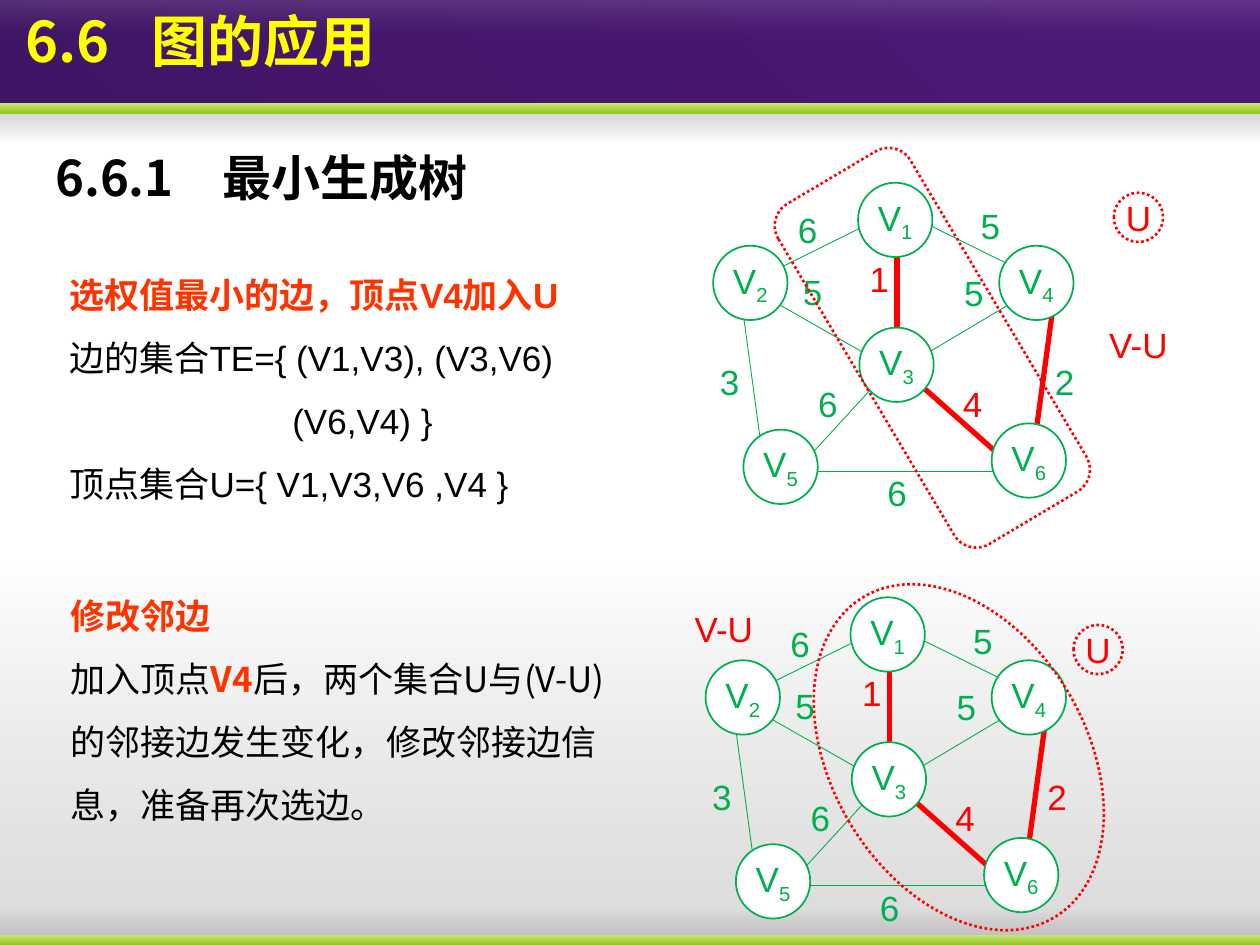
from lxml import etree
from pptx import Presentation
from pptx.dml.color import RGBColor
from pptx.enum.dml import MSO_LINE
from pptx.enum.shapes import MSO_CONNECTOR, MSO_SHAPE
from pptx.enum.text import MSO_ANCHOR, MSO_AUTO_SIZE, PP_ALIGN
from pptx.oxml.ns import qn
from pptx.util import Inches, Pt

CJK = "Noto Sans CJK SC"
GREEN, RED, ORANGE, BLACK = "00B050", "FF0000", "FF3300", "000000"
rgb = RGBColor.from_string


def add_run(p, text, color, size=20, bold=False, font="Arial", baseline=None):
    r = p.add_run()
    r.text = text
    r.font.size, r.font.bold, r.font.name = Pt(size), bold, font
    r.font.color.rgb = rgb(color)
    etree.SubElement(r.font._element, qn("a:ea"), typeface=CJK)
    if baseline:
        r.font._element.set("baseline", str(baseline))


def add_mark(at, color, text="", sub="", kind=None, fill=None, dotted=False):
    """Add a centred label, inside an outline when kind names a preset shape."""
    box = [Inches(v) for v in at]
    if kind is None:
        sp = s.shapes.add_textbox(*box)
    else:
        sp = s.shapes.add_shape(kind, *box)
        sp.shadow.inherit = False
        sp.line.color.rgb = rgb(color)
        sp.line.width = Pt(1.5 if dotted else 1)
        if dotted:
            sp.line.dash_style = MSO_LINE.ROUND_DOT
        if fill:
            sp.fill.solid()
            sp.fill.fore_color.rgb = rgb(fill)
        else:
            sp.fill.background()
    if text:
        tf = sp.text_frame
        tf.margin_left = tf.margin_right = tf.margin_top = tf.margin_bottom = 0
        tf.vertical_anchor = MSO_ANCHOR.MIDDLE
        tf.word_wrap = False
        p = tf.paragraphs[0]
        p.alignment = PP_ALIGN.CENTER
        add_run(p, text, color)
        if sub:
            add_run(p, sub, color, baseline=-25000)
    return sp


prs = Presentation()
prs.slide_width, prs.slide_height = Inches(10), Inches(7.5)
s = prs.slides.add_slide(prs.slide_layouts[3])
title, edge_text, update_text = s.placeholders

# Background bands: top, height, rotation, gradient angle, (colour, opacity %) stops
shade = ("5C5C5C", 0), ("808080", 33)
lime = ("C9E576", 100), ("97C523", 100)
bands = [
    (7.22, 0.24, 0, 90, shade),
    (4.46, 3.04, 0, 90, (("5C5C5C", 0), ("808080", 29))),
    (7.42, 0.08, 0, 90, lime),
    (0, 0.9, 0, 315, (("401565", 100), ("4D1979", 100))),
    (0.88, 0.24, 180, 90, shade),
    (0.82, 0.08, 0, 90, lime),
    (0, 0.28, 0, 90, (("FFFFFF", 13), ("B6B6B6", 0))),
]
for top, height, rotation, angle, stops in bands:
    sp = s.shapes.add_shape(MSO_SHAPE.RECTANGLE, 0, Inches(top), Inches(10), Inches(height))
    sp.shadow.inherit = False
    sp.rotation = rotation
    sp.line.fill.background()
    grad = etree.Element(qn("a:gradFill"), rotWithShape="1")
    stop_list = etree.SubElement(grad, qn("a:gsLst"))
    for pos, (color, opacity) in zip((0, 100000), stops):
        stop = etree.SubElement(stop_list, qn("a:gs"), pos=str(pos))
        clr = etree.SubElement(stop, qn("a:srgbClr"), val=color)
        etree.SubElement(clr, qn("a:alpha"), val=str(opacity * 1000))
    etree.SubElement(grad, qn("a:lin"), ang=str(angle * 60000), scaled="0")
    sp._element.spPr.find(qn("a:prstGeom")).addnext(grad)

# Text blocks: each paragraph is (left indent, tab stop, line spacing, runs)
heading = s.shapes.add_textbox(0, 0, 0, 0)
blocks = [
    (title, (0.1, 0, 9.9, 0.9), [
        (0, 0.94, 1, [("6.6\t图的应用", "FFFF00", 32, True, CJK)])]),
    (heading, (0.34, 1.12, 4.88, 0.57), [
        (0, None, 1, [("6.6.1　最小生成树", BLACK, 28, True, CJK)])]),
    (edge_text, (0.45, 1.95, 4.5, 2.12), [
        (0, None, 1.5, [("选权值最小的边，顶点V4加入U", ORANGE, 20, True)]),
        (0, None, 1.5, [("边的集合TE={ (V1,V3), (V3,V6)", BLACK)]),
        (1.77, None, 1.5, [("(V6,V4) }", BLACK)]),
        (0, None, 1.5, [("顶点集合U={ V1,V3,V6 ,V4 }", BLACK)])]),
    (update_text, (0.46, 4.5, 4.5, 2.06), [
        (0, None, 1.5, [("修改邻边", ORANGE, 20, True)]),
        (0, None, 1.5, [
            ("加入顶点", BLACK, 20, False, CJK),
            ("V4", ORANGE, 20, True, CJK),
            ("后，两个集合U与(V-U)的邻接边发生变化，修改邻接边信息，准备再次选边。",
             BLACK, 20, False, CJK)])]),
]
for sp, at, paragraphs in blocks:
    sp.left, sp.top, sp.width, sp.height = [Inches(v) for v in at]
    sp._element.getparent().append(sp._element)  # in front of the bands
    tf = sp.text_frame
    tf.word_wrap = True
    tf.auto_size = MSO_AUTO_SIZE.NONE
    tf.vertical_anchor = MSO_ANCHOR.TOP
    for i, (indent, tab, spacing, runs) in enumerate(paragraphs):
        p = tf.add_paragraph() if i else tf.paragraphs[0]
        p.alignment = PP_ALIGN.LEFT
        p.line_spacing = spacing
        p.space_before = p.space_after = Pt(0)
        pPr = p._p.get_or_add_pPr()
        pPr.set("marL", str(Inches(indent)))
        pPr.set("indent", "0")
        etree.SubElement(pPr, qn("a:buNone"))
        if tab:
            tabs = etree.SubElement(pPr, qn("a:tabLst"))
            etree.SubElement(tabs, qn("a:tab"), pos=str(Inches(tab)), algn="l")
        for run in runs:
            add_run(p, *run)

# One graph, drawn twice; the spanning tree edges are red
edges = [
    (7.12, 2.68, 7.12, 1.9, RED), (7.28, 2.85, 8.12, 2.35, GREEN),
    (5.9, 2.5, 6.06, 3.68, GREEN), (6.89, 1.78, 6.1, 2.17, GREEN),
    (8.07, 2.13, 7.28, 1.74, GREEN), (6.89, 2.82, 6.1, 2.37, GREEN),
    (8.02, 3.69, 7.31, 3.06, RED), (6.37, 3.68, 6.92, 3.08, GREEN),
    (6.46, 3.74, 7.91, 3.74, GREEN), (8.19, 3.67, 8.35, 2.49, RED),
]
vertices = {"2": (5.66, 1.95), "4": (7.93, 1.95), "5": (5.9, 3.41),
            "6": (7.87, 3.36), "1": (6.81, 1.45), "3": (6.82, 2.6)}
weights = [
    ("6", 6.29, 1.7), ("3", 5.67, 2.91), ("6", 7, 3.79), ("2", 8.33, 2.91),
    ("5", 7.74, 1.67), ("5", 7.61, 2.2), ("5", 6.33, 2.19), ("1", 6.86, 2.09),
    ("6", 6.45, 3.08), ("4", 7.6, 3.08),
]
# Offset, red weights, outline of U, place of the U mark, place of the V-U mark
graphs = [
    (0, 0, "14", MSO_SHAPE.ROUNDED_RECTANGLE, (6.79, 1.19, 1.22, 3.14), (8.84, 1.53), (8.74, 2.54)),
    (-0.06, 3.29, "124", MSO_SHAPE.OVAL, (6.6, 4.53, 2.02, 2.96), (8.52, 4.96), (5.45, 4.79)),
]
for dx, dy, red_weights, outline, outline_at, u_at, rest_at in graphs:
    for x1, y1, x2, y2, color in edges:
        line = s.shapes.add_connector(
            MSO_CONNECTOR.STRAIGHT, Inches(x1 + dx), Inches(y1 + dy), Inches(x2 + dx), Inches(y2 + dy))
        line.line.color.rgb = rgb(color)
        line.line.width = Pt(3 if color == RED else 0.5)
        etree.SubElement(line._element.spPr, qn("a:effectLst"))
    for number, (x, y) in vertices.items():
        add_mark((x + dx, y + dy, 0.59, 0.59), GREEN, "V", number, MSO_SHAPE.OVAL, "FFFFFF")
    for weight, x, y in weights:
        color = RED if weight in red_weights else GREEN
        add_mark((x + dx, y + dy, 0.24, 0.24), color, weight)
    add_mark(outline_at, RED, kind=outline, dotted=True).rotation = 329.3
    add_mark((*u_at, 0.39, 0.39), RED, "U", kind=MSO_SHAPE.OVAL, dotted=True)
    add_mark((*rest_at, 0.59, 0.39), RED, "V-U")

prs.save("out.pptx")
